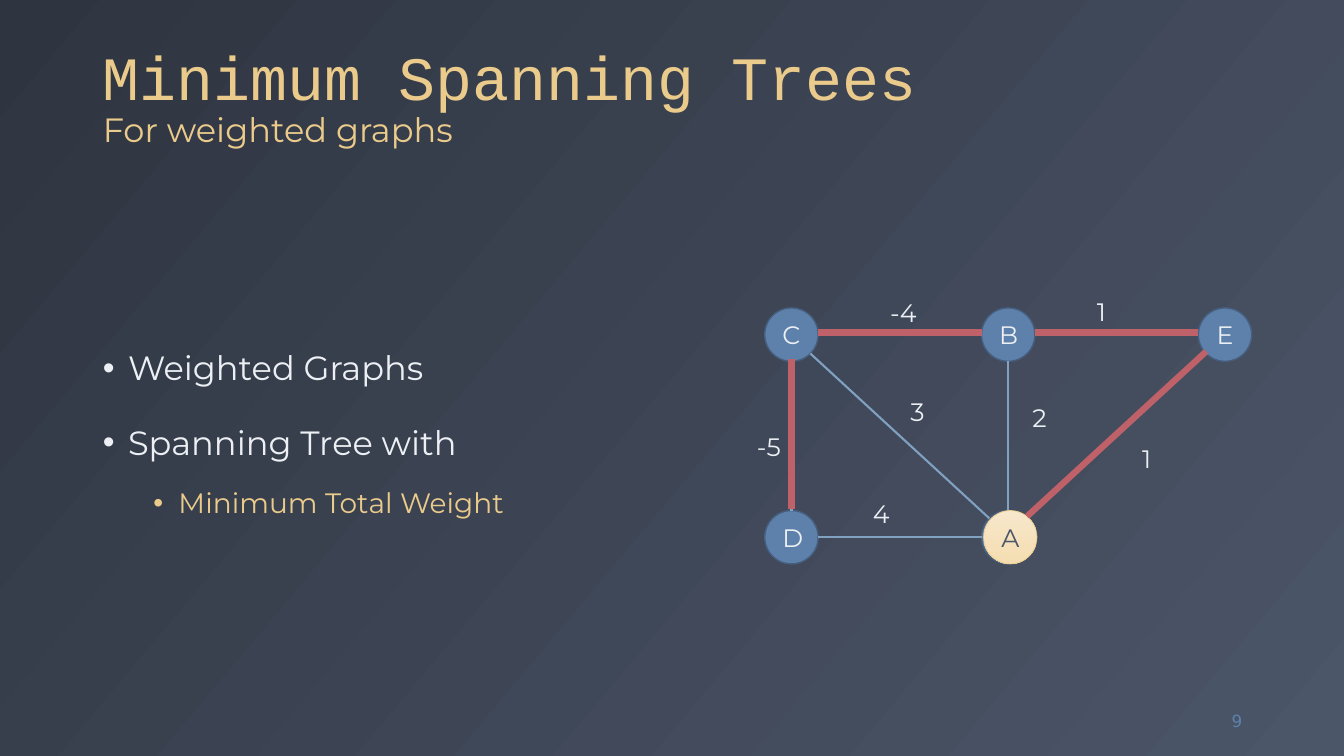
import math

import pptx
import pptx.dml.color
import pptx.enum.shapes
import pptx.enum.text
import pptx.oxml
import pptx.oxml.ns
import pptx.util
from pptx.util import Inches

ANCHOR = pptx.enum.text.MSO_ANCHOR
ALIGN = pptx.enum.text.PP_ALIGN
NO_FIT = pptx.enum.text.MSO_AUTO_SIZE.NONE
CREAM, PALE, BLUE, RED = "EBCB8B", "ECEFF3", "5E81AC", "BF6169"


def rgb(hex_code):
    return pptx.dml.color.RGBColor.from_string(hex_code)


def sub_element(parent, tag, **attributes):
    """Append a DrawingML element to parent."""
    child = pptx.oxml.parse_xml(f'<{tag} {pptx.oxml.ns.nsdecls("a")}/>')
    for key, value in attributes.items():
        child.set(key, value)
    parent.append(child)


def paint_gradient(fill, colors, angle):
    """Fill from the first to the last colour, angle clockwise in degrees."""
    fill.gradient()
    fill.gradient_angle = 360 - angle
    for stop, color in zip(fill.gradient_stops, colors):
        stop.color.rgb = rgb(color)


def place(shape, left, top, width, height):
    shape.left, shape.top = Inches(left), Inches(top)
    shape.width, shape.height = Inches(width), Inches(height)


class GraphSlide:
    """The slide with its fonts, node size and edge drawing."""

    font = "Montserrat"
    diameter = 0.53

    def __init__(self, presentation):
        self.slide = presentation.slides.add_slide(presentation.slide_layouts[1])
        paint_gradient(self.slide.background.fill, ["2E3440", "4C5669"], 40)

    def style(self, font, size, color, name=None):
        font.size = pptx.util.Pt(size)
        font.name = name or self.font
        font.color.rgb = rgb(color)

    def title(self, heading, subtitle):
        holder = self.slide.shapes.title
        place(holder, 0.92, 0.18, 11.5, 1.36)
        frame = holder.text_frame
        frame.auto_size = NO_FIT
        frame.vertical_anchor = ANCHOR.BOTTOM
        line = frame.paragraphs[0]
        line.alignment = ALIGN.LEFT
        line.line_spacing = 0.9
        for text, size, name in [(heading, 44, "Courier New"), (subtitle, 24, self.font)]:
            if line.runs:
                line.add_line_break()
            run = line.add_run()
            run.text = text
            self.style(run.font, size, CREAM, name)

    def bullets(self, items):
        """Fill the body with (level, text) items."""
        body = self.slide.placeholders[1]
        place(body, 0.92, 2, 5.67, 4.4)
        frame = body.text_frame
        frame.auto_size = NO_FIT
        frame.vertical_anchor = ANCHOR.MIDDLE
        for number, (level, text) in enumerate(items):
            item = frame.add_paragraph() if number else frame.paragraphs[0]
            item.text = text
            item.level = level
            properties = item._p.get_or_add_pPr()
            properties.set("marL", str(Inches(0.25 + 0.5 * level)))
            properties.set("indent", str(Inches(-0.25)))
            sub_element(properties, "a:buChar", char="•")
            item.line_spacing = 1.5
            item.space_before = pptx.util.Pt((5 if level else 10) if number else 0)
            self.style(item.font, 20 if level else 24, CREAM if level else PALE)

    def label(self, text, left, top, width, size=18, color=PALE, name=None,
              align=ALIGN.LEFT, anchor=ANCHOR.TOP):
        box = self.slide.shapes.add_textbox(
            Inches(left), Inches(top), Inches(width), Inches(0.4))
        box.text_frame.vertical_anchor = anchor
        box.text_frame.word_wrap = False
        line = box.text_frame.paragraphs[0]
        line.text = text
        line.alignment = align
        self.style(line.font, size, color, name)

    def node(self, letter, center, highlighted=False):
        x, y = center
        disc = self.slide.shapes.add_shape(
            pptx.enum.shapes.MSO_SHAPE.OVAL,
            Inches(x - self.diameter / 2), Inches(y - self.diameter / 2),
            Inches(self.diameter), Inches(self.diameter))
        disc.shadow.inherit = False
        if highlighted:
            paint_gradient(disc.fill, ["F7E7CB", "F4DDB1"], 90)
        else:
            disc.fill.solid()
            disc.fill.fore_color.rgb = rgb(BLUE)
        disc.line.color.rgb = rgb(CREAM if highlighted else "465F7F")
        disc.line.width = pptx.util.Pt(0.5 if highlighted else 1)
        disc.text_frame.vertical_anchor = ANCHOR.MIDDLE
        line = disc.text_frame.paragraphs[0]
        line.text = letter
        line.alignment = ALIGN.CENTER
        self.style(line.font, 18, "4C5669" if highlighted else PALE)

    def edge(self, start, end, color, width, shift=0):
        """Join two node centres between the nearest of eight rim points."""
        turn = math.pi / 4
        heading = math.atan2(end[1] - start[1], end[0] - start[0])
        heading = round(heading / turn) * turn
        dx = self.diameter / 2 * math.cos(heading)
        dy = self.diameter / 2 * math.sin(heading)
        line = self.slide.shapes.add_connector(
            pptx.enum.shapes.MSO_CONNECTOR.STRAIGHT,
            Inches(start[0] + dx), Inches(start[1] + dy + shift),
            Inches(end[0] - dx), Inches(end[1] - dy + shift))
        line.line.color.rgb = rgb(color)
        line.line.width = pptx.util.Pt(width)
        sub_element(line._element.spPr, "a:effectLst")


def main():
    presentation = pptx.Presentation()
    presentation.slide_width = Inches(13.33)
    presentation.slide_height = Inches(7.5)
    page = GraphSlide(presentation)
    page.title("Minimum Spanning Trees", "For weighted graphs")
    page.bullets([(0, "Weighted Graphs"), (0, "Spanning Tree with"),
                  (1, "Minimum Total Weight")])
    page.label("9", 11.59, 6.95, 0.83, 12, BLUE, "DejaVu Sans",
               ALIGN.RIGHT, ANCHOR.MIDDLE)

    columns, rows = [7.85, 10, 12.15], [3.32, 5.33]
    nodes = {letter: (columns[column], rows[row]) for letter, column, row in
             [("A", 1, 1), ("B", 1, 0), ("C", 0, 0), ("D", 0, 1), ("E", 2, 0)]}
    graph = ["AB", "AC", "AD", "DC", "CB", "BE", "AE"]
    spanning_tree = ["CD", "CB", "BE", "AE"]
    weights = [("2", 10.14, 3.94, 0.35), ("3", 8.93, 3.88, 0.35),
               ("4", 8.56, 4.89, 0.37), ("-5", 7.41, 4.23, 0.44),
               ("-4", 8.73, 2.9, 0.46), ("1", 11.23, 4.35, 0.29),
               ("1", 10.78, 2.89, 0.29)]

    for letter, center in nodes.items():
        page.node(letter, center)
    for start, end in graph:
        page.edge(nodes[start], nodes[end], "81A1C1", 1.5)
    for weight, left, top, width in weights:
        page.label(weight, left, top, width)
    x, y = nodes["A"]
    page.node("A", (x + 0.02, y), highlighted=True)
    for start, end in spanning_tree:
        page.edge(nodes[start], nodes[end], RED, 4.5, shift=-0.02)
    presentation.save("out.pptx")


if __name__ == "__main__":
    main()
